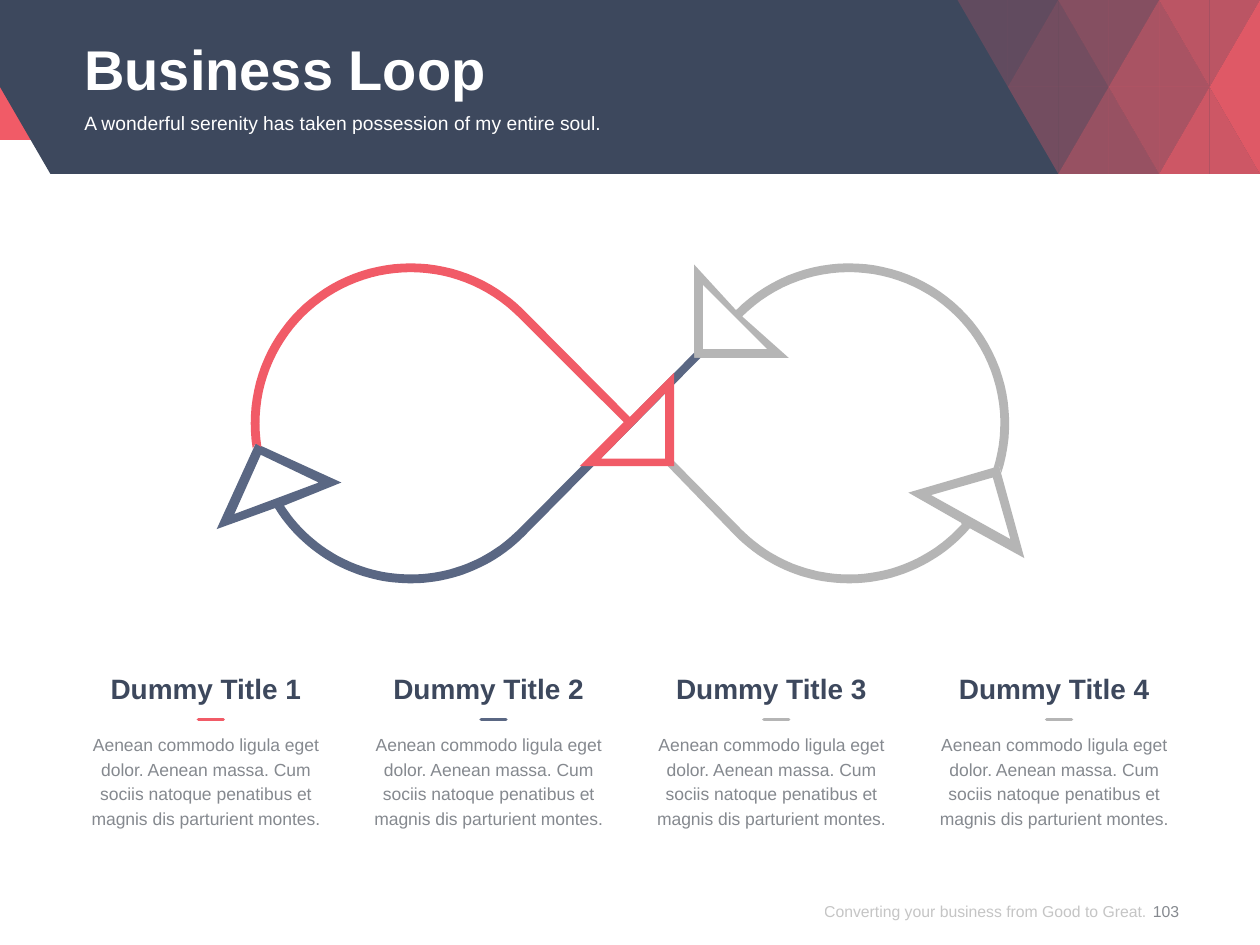
"""Builds the Business Loop slide: a header, a four-part loop and four captions."""
from math import cos, radians, sin

from lxml.etree import SubElement
from pptx import Presentation
from pptx.dml.color import RGBColor
from pptx.enum.shapes import MSO_CONNECTOR, MSO_SHAPE
from pptx.enum.text import MSO_ANCHOR as Anchor, MSO_AUTO_SIZE as AutoSize, PP_ALIGN as Align
from pptx.oxml.ns import qn
from pptx.util import Cm, Pt

RED, NAVY, BLUE, GRAY = "F15B67", "3D485D", "5A6783", "B5B5B5"
WHITE, TEXT, FOOTER = "FFFFFF", "85898F", "8C8C8C"
INCH = 2.54
FINE = 1000
LEFT_X, RIGHT_X, CENTER_Y = 3.26, 6.74, 3.36
OUTER, INNER = 1.27, 1.2
BODY = ("Aenean commodo ligula eget dolor. Aenean massa. "
        "Cum sociis natoque penatibus et magnis dis parturient montes.")


def color(value):
    return RGBColor.from_string(value)


def set_alpha(element, percent):
    for node in element.iter(qn("a:srgbClr")):
        SubElement(node, qn("a:alpha"), val=str(percent * 1000))


def arc(center_x, radius, start, end, steps=48):
    angles = [radians(start + (end - start) * step / steps) for step in range(steps + 1)]
    return [(center_x + radius * cos(a), CENTER_Y + radius * sin(a)) for a in angles]


class SlideBuilder:
    """Holds the font and the current slide and adds styled elements to it."""

    def __init__(self, slide, font="Arial"):
        self.slide = slide
        self.shapes = slide.shapes
        self.font = font

    def paint(self, shape, fill, alpha=100):
        shape.shadow.inherit = False
        shape.fill.solid()
        shape.fill.fore_color.rgb = color(fill)
        shape.line.fill.background()
        if alpha < 100:
            set_alpha(shape.element.spPr, alpha)

    def rectangle(self, left, top, width, height, fill):
        shape = self.shapes.add_shape(
            MSO_SHAPE.RECTANGLE, Cm(left), Cm(top), Cm(width), Cm(height))
        self.paint(shape, fill)

    def outline(self, contours, fill, alpha=100):
        contours = [[(x * FINE, y * FINE) for x, y in points] for points in contours]
        builder = self.shapes.build_freeform(*contours[0][0], scale=Cm(INCH) / FINE)
        builder.add_line_segments(contours[0][1:])
        for points in contours[1:]:
            builder.move_to(*points[0])
            builder.add_line_segments(points[1:])
        self.paint(builder.convert_to_shape(), fill, alpha)

    def set_text(self, box, text, size, ink, bold=False, align=Align.LEFT,
                 anchor=Anchor.TOP, spacing=None):
        frame = box.text_frame
        frame.text = text
        frame.word_wrap = True
        frame.auto_size = AutoSize.NONE
        frame.vertical_anchor = anchor
        frame.margin_left = frame.margin_right = frame.margin_top = frame.margin_bottom = 0
        para = frame.paragraphs[0]
        para.alignment = align
        para.space_before = Pt(0)
        if spacing:
            para.line_spacing = Pt(spacing)
        font = para.runs[0].font
        font.name, font.size, font.bold = self.font, Pt(size), bold
        font.color.rgb = color(ink)
        return box

    def text(self, left, top, width, height, text, size, ink, **style):
        box = self.shapes.add_textbox(Cm(left), Cm(top), Cm(width), Cm(height))
        return self.set_text(box, text, size, ink, **style)

    def placeholder(self, index, left, top, width, height, text, size, **style):
        box = self.slide.placeholders[index]
        box.left, box.top, box.width, box.height = Cm(left), Cm(top), Cm(width), Cm(height)
        box.element.getparent().append(box.element)
        return self.set_text(box, text, size, WHITE, **style)

    def dash(self, left, top, width, ink):
        line = self.shapes.add_connector(
            MSO_CONNECTOR.STRAIGHT, Cm(left), Cm(top), Cm(left + width), Cm(top))
        line.line.color.rgb = color(ink)
        line.line.width = Pt(2)
        properties = line.element.spPr
        properties.find(qn("a:ln")).set("cap", "rnd")
        SubElement(properties, qn("a:effectLst"))


def add_header(builder):
    builder.rectangle(0, 0, 25.4, 2.82, RED)
    builder.outline([[(0, 0), (10, 0), (10, 1.38), (0.4, 1.38), (0, 0.69)]], NAVY)
    step, height = 0.4, 0.69
    for row, alphas in enumerate([(20, 30, 40, 60, 70, 90), (30, 50, 60, 80, 90)]):
        for index, alpha in enumerate(alphas):
            center = 10 - step * (len(alphas) - 1 - index)
            base, tip = row * height, (row + 1) * height
            if index % 2:
                base, tip = tip, base
            for side in (-step, step):
                if center + side <= 10:
                    half = [(center, base), (center, tip), (center + side, base)]
                    builder.outline([half], RED, alpha)
    builder.placeholder(0, 1.7, 0.48, 22, 1.65, "Business Loop", 32,
                        bold=True, anchor=Anchor.MIDDLE, spacing=42)
    box = builder.placeholder(1, 1.7, 2.24, 22, 0.99,
                              "A wonderful serenity has taken possession of my entire soul.", 11)
    properties = next(box.element.iter(qn("a:pPr")))
    properties.set("marL", "0")
    properties.set("indent", "0")
    SubElement(properties, qn("a:buNone"))


def add_loop(builder):
    lower_right = [(7.93, 3.7), (7.21, 3.91), (7.63, 4.15),
                   *arc(RIGHT_X, INNER, 42, 135), (5.35, 3.66), (5.35, 3.7), (5.3, 3.7),
                   *arc(RIGHT_X, OUTER, 135, 41), (8.13, 4.43)]
    upper_right = [*arc(RIGHT_X, OUTER, 18, -135), (5.51, 2.1), (5.51, 2.84), (6.26, 2.84),
                   *arc(RIGHT_X, INNER, -135, 18), (7.93, 3.7)]
    lower_left = [(5.51, 2.84), (5.51, 2.8), *arc(LEFT_X, INNER, 45, 147),
                  (2.71, 3.83), (2.03, 3.52), (1.72, 4.2),
                  *arc(LEFT_X, OUTER, 148, 45), (5.56, 2.84)]
    upper_left = [(5, 3.31), *arc(LEFT_X, OUTER, 315, 171), (2.03, 3.52),
                  *arc(LEFT_X, INNER, 171, 315), (4.95, 3.35),
                  (4.6, 3.7), (5.35, 3.7), (5.35, 2.96)]
    parts = [
        (lower_right, [(7.39, 3.93), (7.88, 3.79), (8.02, 4.28)], GRAY),
        (upper_right, [(6.09, 2.77), (5.58, 2.77), (5.58, 2.26)], GRAY),
        (lower_left, [(1.86, 4.08), (2.07, 3.61), (2.53, 3.83)], BLUE),
        (upper_left, [(5.28, 3.64), (4.77, 3.64), (5.28, 3.12)], RED),
    ]
    for edge, hole, fill in parts:
        builder.outline([edge, hole], fill)


def add_captions(builder):
    for index, ink in enumerate((RED, BLUE, GRAY, GRAY)):
        left = 1.7 + 5.7 * index
        builder.text(left, 14.73, 4.9, 2.01, BODY, 10, TEXT, align=Align.CENTER, spacing=14)
        builder.dash(left + 2.3, 14.5, 0.5, ink)
        builder.text(left, 13.54, 4.9, 0.69, f"Dummy Title {index + 1}", 16, NAVY,
                     bold=True, align=Align.CENTER)


def add_footer(builder):
    box = builder.text(15.34, 17.68, 7.77, 1.37, "Converting your business from Good to Great.",
                       9, FOOTER, align=Align.RIGHT, anchor=Anchor.MIDDLE)
    set_alpha(box.element, 50)
    builder.text(22.91, 17.68, 1.19, 1.37, "103", 9, TEXT,
                 align=Align.CENTER, anchor=Anchor.MIDDLE)


def main():
    deck = Presentation()
    deck.slide_width, deck.slide_height = Cm(25.4), Cm(19.05)
    page = deck.slides.add_slide(deck.slide_layouts[1])
    builder = SlideBuilder(page)
    for add_part in (add_header, add_loop, add_captions, add_footer):
        add_part(builder)
    deck.save("out.pptx")


if __name__ == "__main__":
    main()
